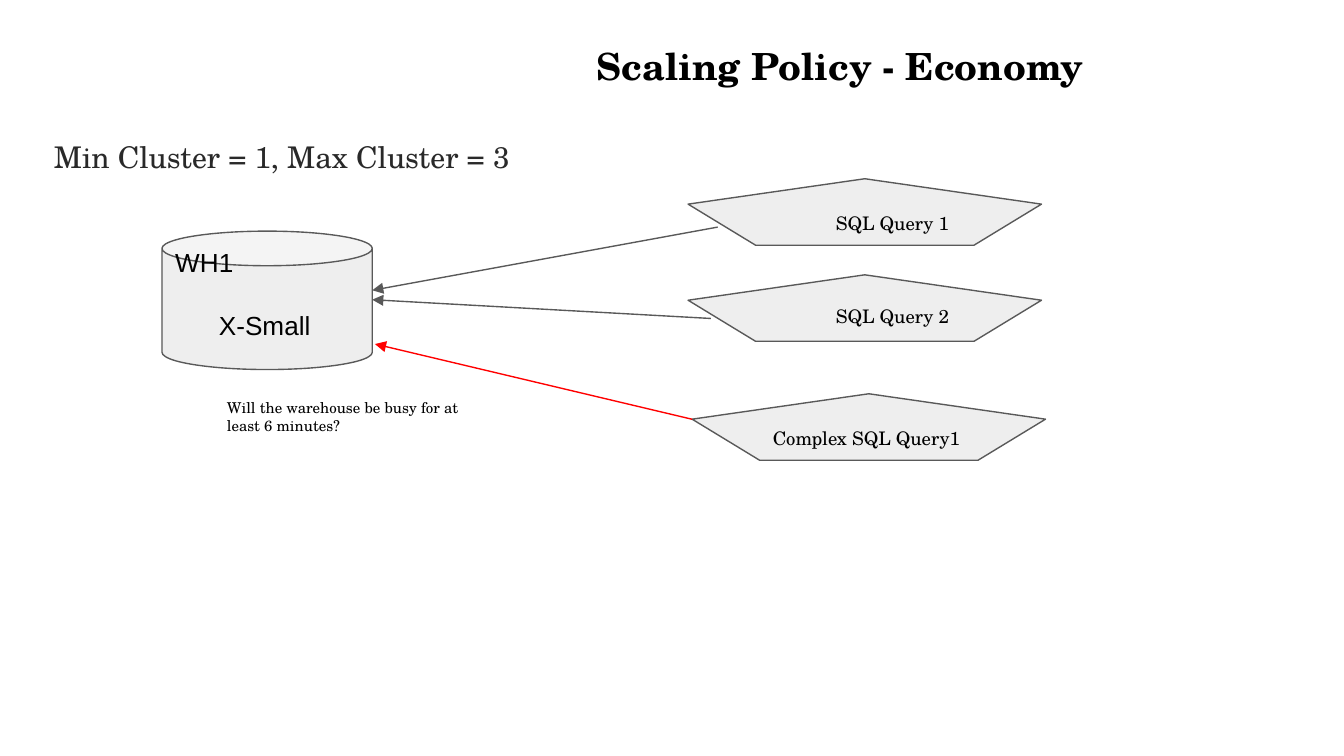
from lxml.etree import SubElement
from pptx import Presentation
from pptx.dml.color import RGBColor
from pptx.enum.shapes import MSO_CONNECTOR as Link, MSO_SHAPE as Preset
from pptx.enum.text import MSO_ANCHOR as Anchor, PP_ALIGN as Align
from pptx.oxml.ns import qn
from pptx.util import Inches, Pt

BLACK = RGBColor(0, 0, 0)
INK = RGBColor(0x29, 0x29, 0x29)
GRAY = RGBColor(0x59, 0x59, 0x59)
PALE = RGBColor(0xEE, 0xEE, 0xEE)
RED = RGBColor(0xFF, 0, 0)
SERIF, SANS = "TeX Gyre Schola", "Arial"
COLUMNS, ROWS = 100, 56.25

deck = Presentation()
deck.slide_width = Inches(10)
deck.slide_height = deck.slide_width * 9 // 16
column, row = deck.slide_width / COLUMNS, deck.slide_height / ROWS
slide = deck.slides.add_slide(deck.slide_layouts[6])


def grid(*cells):
    return [round(cell * unit) for cell, unit in zip(cells, (column, row) * 2)]


def write(paragraph, text, size, face, color=BLACK, bold=False, indent=0):
    paragraph.alignment = Align.LEFT
    paragraph._p.get_or_add_pPr().set("marL", str(round(indent * column)))
    run = paragraph.add_run()
    run.text = text
    run.font.color.rgb = color
    for name, value in {"size": Pt(size), "name": face, "bold": bold}.items():
        setattr(run.font, name, value)


passages = [
    ((3.4, 2.2, 93.2, 6.3), "Scaling Policy - Economy", 1,
     {"size": 20, "bold": True, "indent": 40}),
    ((3.03, 8.9, 94.4, 46.3), "Min Cluster = 1, Max Cluster = 3", 1.15,
     {"size": 16, "color": INK}),
    ((15.9, 28.65, 20.3, 4.7), "Will the warehouse be busy for at least 6 minutes?", 1,
     {"size": 8}),
]
frame_format = {"word_wrap": True, "margin_left": Inches(0.1), "margin_right": Inches(0.1),
                "margin_top": Inches(0.1), "margin_bottom": Inches(0.1)}
for place, text, spacing, style in passages:
    frame = slide.shapes.add_textbox(*grid(*place)).text_frame
    for name, value in frame_format.items():
        setattr(frame, name, value)
    frame.paragraphs[0].line_spacing = spacing
    write(frame.paragraphs[0], text, face=SERIF, **style)

warehouse = slide.shapes.add_shape(Preset.CAN, *grid(12.05, 17.2, 15.65, 10.3))
warehouse.adjustments[0] = 0.25
queries = []
for label, left, top, indent, tail in [
    ("SQL Query 1", 51.2, 13.3, 5, " "),
    ("SQL Query 2", 51.2, 20.45, 5, ""),
    ("Complex SQL Query1", 51.5, 29.3, 0, " "),
]:
    query = slide.shapes.add_shape(Preset.REGULAR_PENTAGON, *grid(left, top, 26.3, 4.95))
    write(query.text_frame.paragraphs[0], label, 10, SERIF, indent=indent)
    if tail:
        write(query.text_frame.paragraphs[0], tail, 14, SANS, indent=indent)
    queries.append(query)

for node in [warehouse, *queries]:
    node.shadow.inherit = False
    node.fill.solid()
    node.fill.fore_color.rgb = PALE
    node.line.color.rgb = GRAY
    node.line.width = Pt(0.75)
    for name, value in {**frame_format, "vertical_anchor": Anchor.MIDDLE}.items():
        setattr(node.text_frame, name, value)

warehouse_text = warehouse.text_frame
warehouse_text.margin_top, warehouse_text.margin_bottom = 0, Inches(0.23)
write(warehouse_text.paragraphs[0], "WH1", 14, SANS)
size_line = warehouse_text.add_paragraph()
size_line.space_before = Pt(17)
write(size_line, "X-Small", 14, SANS, indent=3.25)

for start, end, color in [
    ((53.4, 16.9), (27.7, 21.6), GRAY),
    ((52.9, 23.7), (27.7, 22.3), GRAY),
    ((51.5, 31.2), (27.9, 25.6), RED),
]:
    request = slide.shapes.add_connector(Link.STRAIGHT, *grid(*start, *end))
    request.line.color.rgb = color
    request.line.width = Pt(0.75)
    SubElement(request.line._get_or_add_ln(), qn("a:tailEnd"), type="triangle")
    SubElement(request._element.spPr, qn("a:effectLst"))

deck.save("out.pptx")
